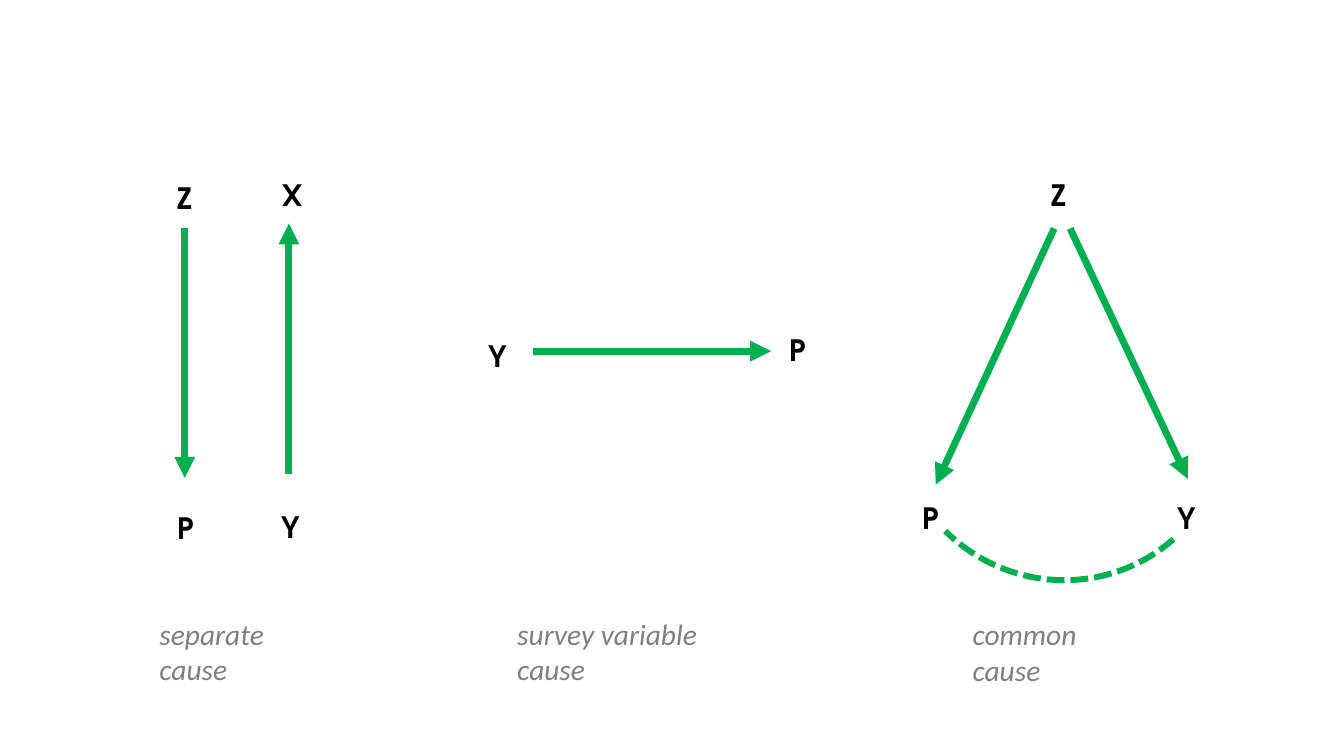
from dataclasses import dataclass

from lxml.etree import SubElement
from pptx import Presentation
from pptx.dml.color import RGBColor
from pptx.enum.dml import MSO_LINE
from pptx.enum.shapes import MSO_CONNECTOR, MSO_SHAPE
from pptx.oxml.ns import qn
from pptx.util import Inches, Pt


@dataclass(frozen=True)
class Theme:
    letter_font: str = "TeX Gyre Adventor"
    caption_font: str = "Calibri"
    text_size: float = 21
    arrow_width: float = 5
    arc_width: float = 4.25
    letter: RGBColor = RGBColor(0, 0, 0)
    caption: RGBColor = RGBColor(0x80, 0x80, 0x80)
    cause: RGBColor = RGBColor(0, 0xB0, 0x50)


class Diagram:
    COLS, ROWS = 160, 90

    def __init__(self, prs, theme):
        self.theme = theme
        self.col = prs.slide_width / self.COLS
        self.row = prs.slide_height / self.ROWS
        self.slide = prs.slides.add_slide(prs.slide_layouts[6])

    def grid(self, *cells):
        return [round(n * (self.row if i % 2 else self.col)) for i, n in enumerate(cells)]

    def text(self, text, box, font, color, bold=False, italic=False):
        tf = self.slide.shapes.add_textbox(*self.grid(*box)).text_frame
        tf.word_wrap = True
        tf.text = text
        for r in tf.paragraphs[0].runs:
            r.font.name = font
            r.font.size = Pt(self.theme.text_size)
            r.font.color.rgb = color
            r.font.bold = bold
            r.font.italic = italic

    def letter(self, text, x, y):
        self.text(text, (x, y, 5.5, 5.4), self.theme.letter_font, self.theme.letter, bold=True)

    def caption(self, text, x, y, w):
        self.text(text, (x, y, w, 9.6), self.theme.caption_font, self.theme.caption, italic=True)

    def arrow(self, *ends):
        sp = self.slide.shapes.add_connector(MSO_CONNECTOR.STRAIGHT, *self.grid(*ends))
        sp.line.color.rgb = self.theme.cause
        sp.line.width = Pt(self.theme.arrow_width)
        SubElement(sp.line._get_or_add_ln(), qn("a:tailEnd"), type="triangle")
        SubElement(sp._element.spPr, qn("a:effectLst"))

    def dashed_arc(self, box, start, end, rotation):
        sp = self.slide.shapes.add_shape(MSO_SHAPE.ARC, *self.grid(*box))
        sp.adjustments[0], sp.adjustments[1] = start, end
        sp.rotation = rotation
        sp.shadow.inherit = False
        sp.fill.background()
        sp.line.color.rgb = self.theme.cause
        sp.line.width = Pt(self.theme.arc_width)
        sp.line.dash_style = MSO_LINE.SQUARE_DOT


LETTERS = [
    ("Z", 20, 20.8), ("P", 20, 60.1), ("X", 32.4, 20.5), ("Y", 32.3, 60),
    ("Y", 57, 39.6), ("P", 92.8, 39),
    ("Z", 124, 20.5), ("P", 108.7, 59), ("Y", 139, 58.9),
]
ARROWS = [
    (22, 27.2, 22, 56.9), (34.4, 56.4, 34.4, 26.6),
    (63.5, 41.8, 91.8, 41.8),
    (125.5, 27.2, 111.4, 57.7), (127.4, 27.2, 141.4, 57),
]
CAPTIONS = [
    ("separate\vcause", 17.8, 72.7, 23.5),
    ("survey variable\vcause", 60.4, 72.7, 32.4),
    ("common\vcause", 114.6, 72.8, 23.5),
]

prs = Presentation()
prs.slide_width, prs.slide_height = Inches(13.33), Inches(7.5)
diagram = Diagram(prs, Theme())
for letter in LETTERS:
    diagram.letter(*letter)
for arrow in ARROWS:
    diagram.arrow(*arrow)
for caption in CAPTIONS:
    diagram.caption(*caption)
diagram.dashed_arc((106.7, 29.2, 39.5, 40), start=164.22, end=0, rotation=134.8)
prs.save("out.pptx")
